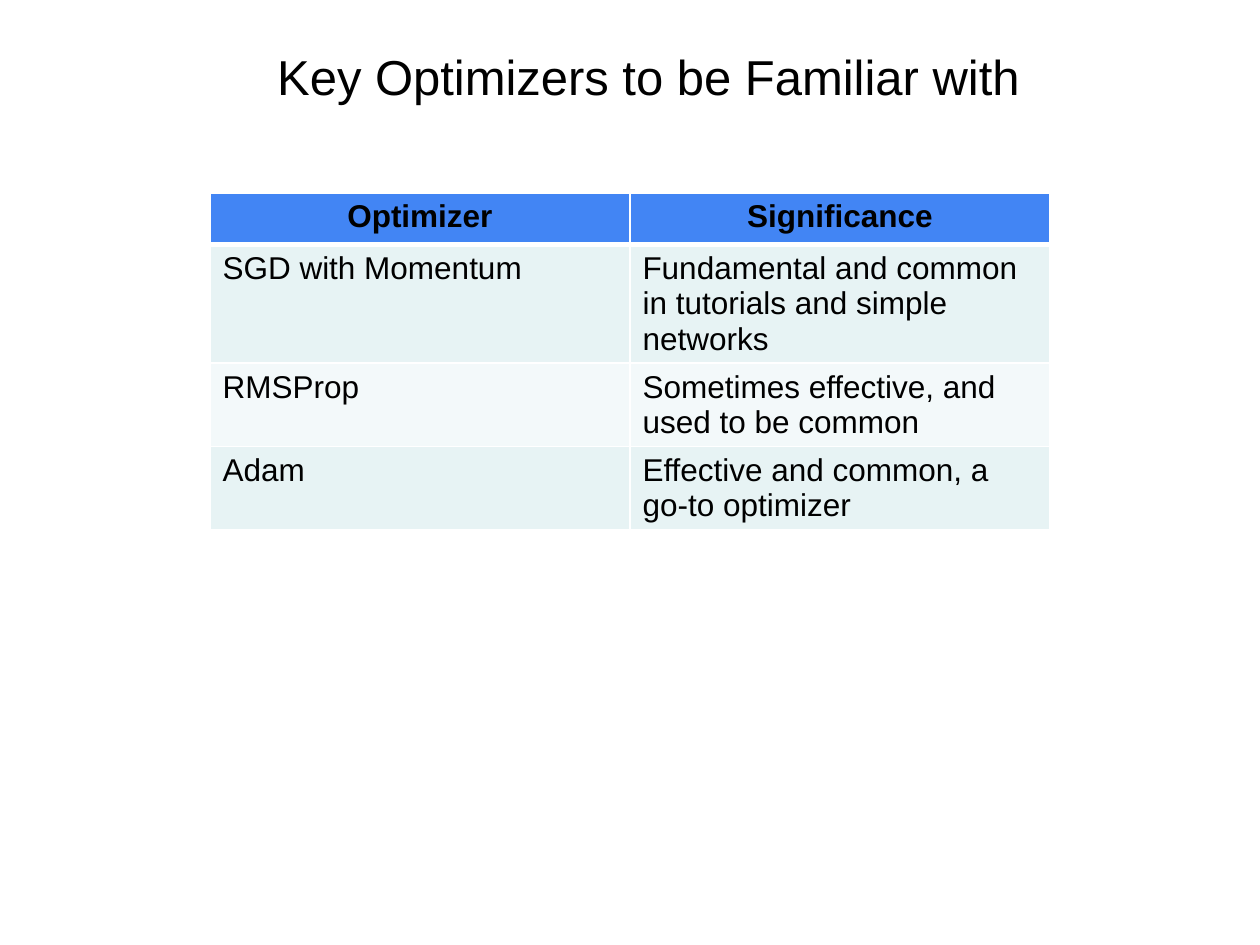
from pptx import Presentation
from pptx.dml.color import RGBColor
from pptx.enum.text import MSO_ANCHOR, PP_ALIGN
from pptx.oxml.ns import qn
from pptx.util import Inches, Pt
from lxml.etree import SubElement

HUES = {"ink": "000000", "head": "4285F4", "odd": "E7F3F4",
        "even": "F3F9FA", "rule": "FFFFFF"}
ROWS = [
    ("Optimizer", "Significance"),
    ("SGD with Momentum", "Fundamental and common in tutorials and simple networks"),
    ("RMSProp", "Sometimes effective, and used to be common"),
    ("Adam", "Effective and common, a go-to optimizer"),
]


class Deck:
    """Holds the style and the current slide, with lengths as shares of its size."""

    def __init__(self, wide, high, face):
        self.show = Presentation()
        self.show.slide_width = self.wide = Inches(wide)
        self.show.slide_height = self.high = Inches(high)
        self.face = face
        self.slide = self.show.slides.add_slide(self.show.slide_layouts[5])

    def area(self, left, top, width, height):
        return (round(left * self.wide), round(top * self.high),
                round(width * self.wide), round(height * self.high))

    def label(self, frame, text, size, bold=False, align=PP_ALIGN.LEFT):
        frame.text = text
        frame.word_wrap = True
        para = frame.paragraphs[0]
        para.alignment = align
        font = para.runs[0].font
        font.name, font.size, font.bold = self.face, Pt(size), bold
        font.color.rgb = RGBColor.from_string(HUES["ink"])

    def title(self, text, share, size):
        box = self.slide.shapes.title
        box.left, box.top, box.width, box.height = self.area(*share)
        box.text_frame.vertical_anchor = MSO_ANCHOR.MIDDLE
        self.label(box.text_frame, text, size)

    def edge(self, cell, side, width):
        line = SubElement(cell._tc.get_or_add_tcPr(), qn(f"a:ln{side}"), w=str(Pt(width)))
        fill = SubElement(line, qn("a:solidFill"))
        SubElement(fill, qn("a:srgbClr"), val=HUES["rule"])

    def table(self, rows, share, size):
        shape = self.slide.shapes.add_table(len(rows), len(rows[0]), *self.area(*share))
        for r, row in enumerate(rows):
            head = r == 0
            hue = "head" if head else "odd" if r % 2 else "even"
            for c, text in enumerate(row):
                cell = shape.table.cell(r, c)
                self.label(cell.text_frame, text, size, head,
                           PP_ALIGN.CENTER if head else PP_ALIGN.LEFT)
                for side in "LRTB":
                    thick = (side, r) in (("B", 0), ("T", 1))
                    self.edge(cell, side, 3 if thick else 1)
                cell.fill.solid()
                cell.fill.fore_color.rgb = RGBColor.from_string(HUES[hue])

    def save(self):
        self.show.save("out.pptx")


def main():
    deck = Deck(10, 7.5, "Arial")
    deck.title("Key Optimizers to be Familiar with", (0.21, 0.035, 0.77, 0.09), 28)
    deck.table(ROWS, (1 / 6, 0.204, 2 / 3, 0.22), 18)
    deck.save()


if __name__ == "__main__":
    main()
